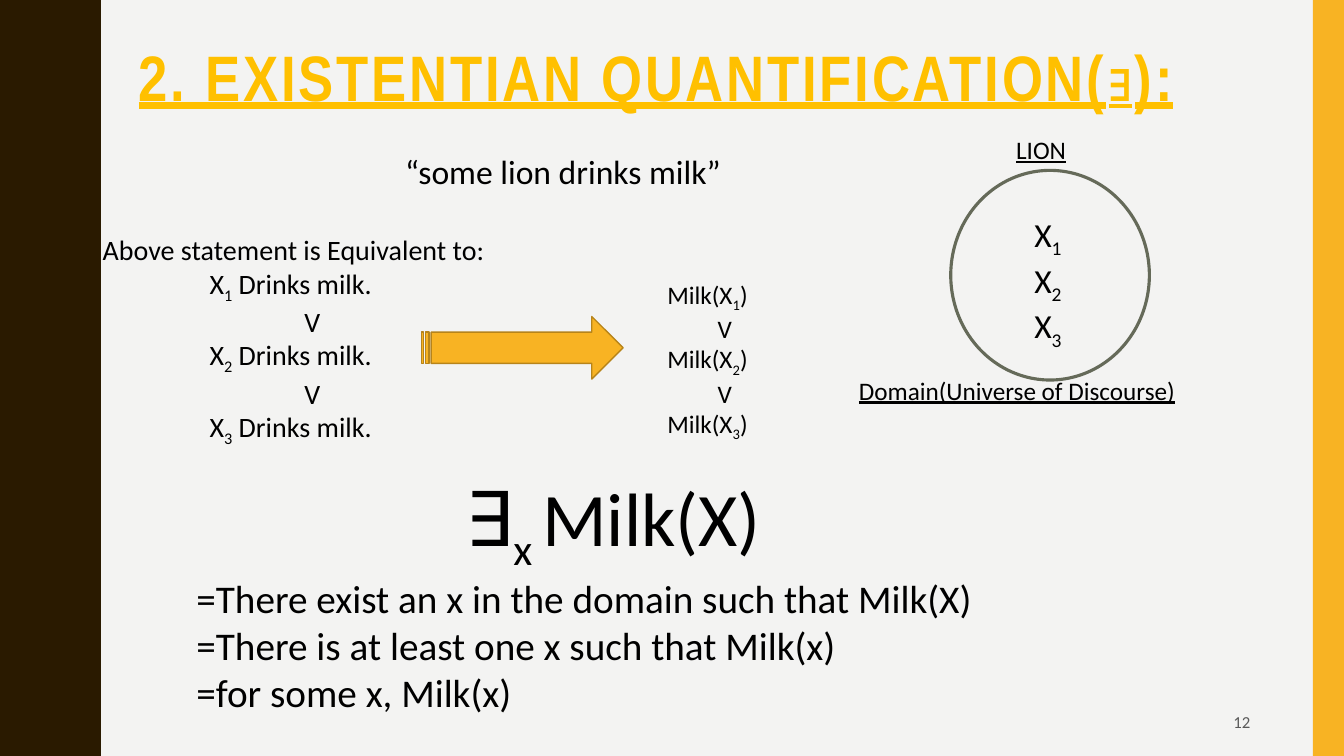
"""Build a slide explaining the existential quantifier with a lion example."""
import math

from pptx import Presentation
from pptx.dml.color import RGBColor
from pptx.enum import shapes, text
from pptx.util import Inches, Pt

BACKGROUND = RGBColor(0xF3, 0xF3, 0xF2)
BROWN = RGBColor(0x2A, 0x1A, 0x00)
ORANGE = RGBColor(0xF8, 0xB3, 0x23)
DARK_ORANGE = RGBColor(0xB7, 0x84, 0x1A)
GOLD = RGBColor(0xFF, 0xC0, 0x00)
OLIVE = RGBColor(0x65, 0x6A, 0x59)
GRAY = RGBColor(0x59, 0x59, 0x59)
BLACK = RGBColor(0x00, 0x00, 0x00)

presentation = Presentation()
presentation.slide_width = Inches(13.33)
presentation.slide_height = Inches(7.5)
slide = presentation.slides.add_slide(presentation.slide_layouts[6])
slide.background.fill.solid()
slide.background.fill.fore_color.rgb = BACKGROUND


def add_runs(paragraph, content, size, color=BLACK, name="Calibri", bold=False, underline=False):
    """Add content to a paragraph, with parts between underscores as subscripts."""
    for index, part in enumerate(content.split("_")):
        run = paragraph.add_run()
        run.text = part
        run.font.size = Pt(size)
        run.font.name = name
        run.font.color.rgb = color
        run.font.bold = bold
        run.font.underline = underline
        if index % 2:
            run._r.get_or_add_rPr().set("baseline", "-25000")


def add_text(left, top, width, height, lines, **style):
    """Add a text box from lines of (content, size, indent) and return its frame."""
    box = slide.shapes.add_textbox(Inches(left), Inches(top), Inches(width), Inches(height))
    frame = box.text_frame
    frame.word_wrap = True
    for index, (content, size, indent) in enumerate(lines):
        paragraph = frame.add_paragraph() if index else frame.paragraphs[0]
        paragraph._p.get_or_add_pPr().set("marL", str(Inches(indent)))
        add_runs(paragraph, content, size, **style)
    return frame


builder = slide.shapes.build_freeform(0, 0, scale=Inches(1))
wave = []
for step in range(121):
    angle = 2 * math.pi * step / 24
    wave.append((0.875 - 0.107 * math.cos(angle) + 0.012 * math.cos(3 * angle), step / 16))
builder.add_line_segments(wave + [(0, 7.5)], close=True)
wavy_edge = builder.convert_to_shape()
right_band = slide.shapes.add_shape(
    shapes.MSO_SHAPE.RECTANGLE, Inches(13.02), 0, Inches(0.31), Inches(7.5))
domain_circle = slide.shapes.add_shape(
    shapes.MSO_SHAPE.OVAL, Inches(9.43), Inches(1.69), Inches(1.97), Inches(2.08))
arrow = slide.shapes.add_shape(
    shapes.MSO_SHAPE.STRIPED_RIGHT_ARROW, Inches(4.18), Inches(3.14), Inches(2), Inches(0.62))

for shape, fill, line, width in (
    (wavy_edge, BROWN, None, 0),
    (right_band, ORANGE, None, 0),
    (domain_circle, None, OLIVE, 2.25),
    (arrow, ORANGE, DARK_ORANGE, 1),
):
    shape.shadow.inherit = False
    if fill is None:
        shape.fill.background()
    else:
        shape.fill.solid()
        shape.fill.fore_color.rgb = fill
    if line is None:
        shape.line.fill.background()
    else:
        shape.line.color.rgb = line
        shape.line.width = Pt(width)

title = add_text(1.28, 0.41, 10.64, 0.98, []).paragraphs[0]
title.line_spacing = 0.9
for content, size, bold in (
    ("2. EXISTENTIAN QUANTIFICATION(", 45.9, True),
    ("∃", 39.6, False),
    ("):", 45.9, True),
):
    add_runs(title, content, size, GOLD, "Arial Narrow", bold, underline=True)
for run in title.runs:
    run._r.get_or_add_rPr().set("spc", "200")

statement_lines = [("“some lion drinks milk”", 24, 3), ("Above statement is Equivalent to:", 20, 0)]
milk_lines = []
for number in (1, 2, 3):
    if number > 1:
        statement_lines.append(("V", 20, 2))
        milk_lines.append(("V", 18, 0.5))
    statement_lines.append((f"X_{number}_ Drinks milk.", 20, 1.06))
    milk_lines.append((f"Milk(X_{number}_)", 18, 0))

statement = add_text(0.92, 1.45, 11.1, 2.93, statement_lines)
statement.paragraphs[1].space_before = Pt(29.3)
add_text(6.52, 2.72, 1.28, 2.22, milk_lines)
add_text(10.16, 2.07, 0.69, 1.31, [(f"X_{number}_", 24, 0) for number in (1, 2, 3)])
add_text(8.42, 3.67, 4.42, 0.4, [("Domain(Universe of Discourse)", 18, 0)], underline=True)
add_text(9.98, 1.28, 1.27, 0.4, [("LION", 18, 0)], underline=True)
add_text(1.85, 4.62, 9.74, 2.42, [
    ("∃_x _Milk(X)", 54, 2.67),
    ("=There exist an x in the domain such that Milk(X)", 28, 0),
    ("=There is at least one x such that Milk(x)", 28, 0),
    ("=for some x, Milk(x)", 28, 0),
])

slide_number = add_text(9.42, 6.97, 3.08, 0.38, [("12", 12, 0)], color=GRAY)
slide_number.vertical_anchor = text.MSO_ANCHOR.MIDDLE
slide_number.paragraphs[0].alignment = text.PP_ALIGN.RIGHT

presentation.save("out.pptx")
